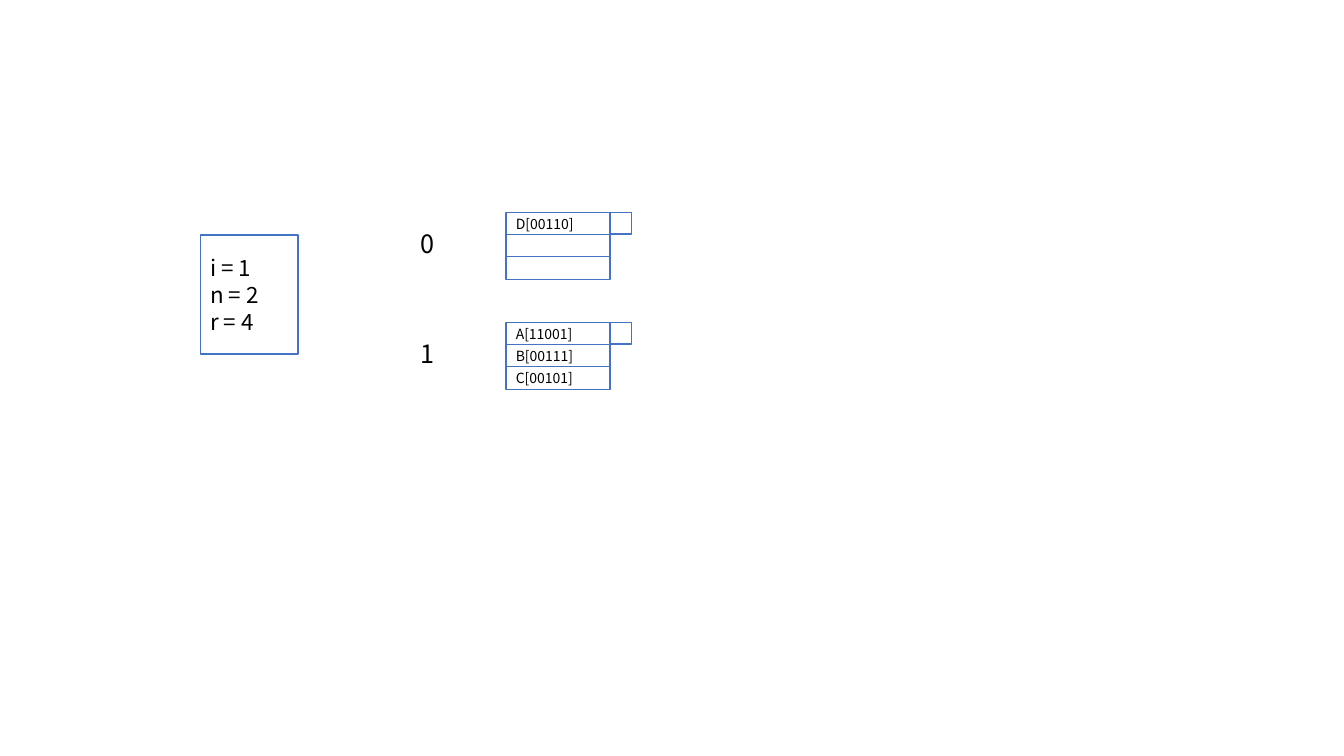
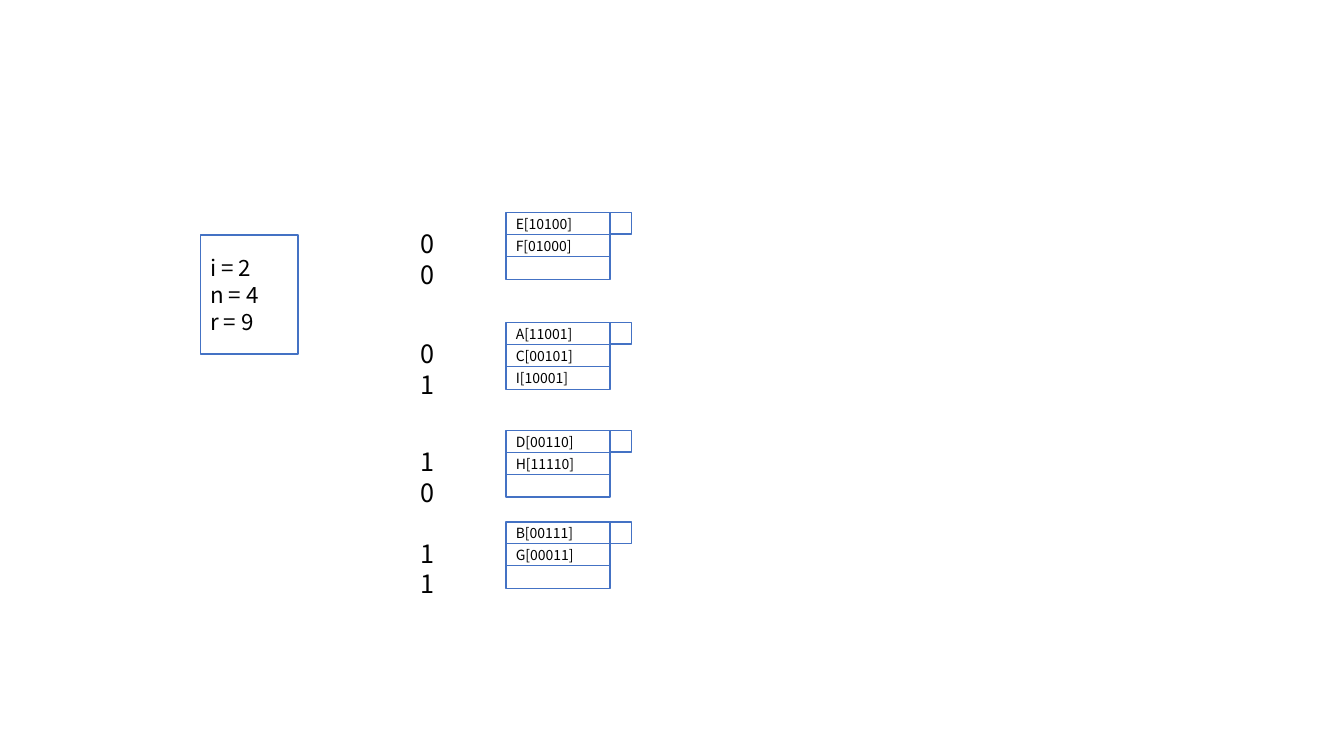
"""Build two slides that show a linear hash table before and after it grows."""
from pptx import Presentation
from pptx.dml.color import RGBColor
from pptx.enum import shapes, text
from pptx.util import Cm, Pt

STATES = [
    {
        "counters": ["i = 1", "n = 2", "r = 4"],
        "buckets": [
            ("0", ["D[00110]", "", ""]),
            ("1", ["A[11001]", "B[00111]", "C[00101]"]),
        ],
    },
    {
        "counters": ["i = 2", "n = 4", "r = 9"],
        "buckets": [
            ("00", ["E[10100]", "F[01000]", ""]),
            ("01", ["A[11001]", "C[00101]", "I[10001]"]),
            ("10", ["D[00110]", "H[11110]", ""]),
            ("11", ["B[00111]", "G[00011]", ""]),
        ],
    },
]

BLACK = RGBColor(0x00, 0x00, 0x00)
WHITE = RGBColor(0xFF, 0xFF, 0xFF)
BLUE = RGBColor(0x44, 0x72, 0xC4)
BOX_FONT = "Noto Sans CJK TC"
KEY_FONT = "Noto Sans CJK SC"
LINE_HEIGHT = 1.2

COUNTER_BOX = (5.05, 5.92, 2.46, 3)
BUCKET_TOPS = [5.36, 8.13, 10.85, 13.15]
BUCKET_LEFT = 12.75
ROW_WIDTH, ROW_HEIGHT, ROW_PITCH = 2.62, 0.58, 0.55
POINTER_SIZE = 0.54
KEY_LEFT, KEY_DROP, KEY_WIDTH, KEY_HEIGHT = 10.36, 0.28, 0.92, 1.02


def write(shape, lines, size, font_name):
    frame = shape.text_frame
    frame.word_wrap = True
    frame.text = "\n".join(lines)
    for paragraph in frame.paragraphs:
        paragraph.alignment = text.PP_ALIGN.LEFT
        paragraph.line_spacing = Pt(size * LINE_HEIGHT)
        for run in paragraph.runs:
            run.font.size = Pt(size)
            run.font.name = font_name
            run.font.color.rgb = BLACK


def add_box(slide, left, top, width, height, lines=(), size=10):
    box = slide.shapes.add_shape(
        shapes.MSO_SHAPE.RECTANGLE, Cm(left), Cm(top), Cm(width), Cm(height))
    box.shadow.inherit = False
    box.fill.solid()
    box.fill.fore_color.rgb = WHITE
    box.line.color.rgb = BLUE
    box.line.width = Pt(1)
    frame = box.text_frame
    frame.margin_top = frame.margin_bottom = 0
    frame.vertical_anchor = text.MSO_ANCHOR.MIDDLE
    if any(lines):
        write(box, lines, size, BOX_FONT)


def add_bucket(slide, top, key, records):
    for index, record in enumerate(records):
        add_box(slide, BUCKET_LEFT, top + index * ROW_PITCH,
                ROW_WIDTH, ROW_HEIGHT, [record])
    add_box(slide, BUCKET_LEFT + ROW_WIDTH, top, POINTER_SIZE, POINTER_SIZE)
    label = slide.shapes.add_textbox(
        Cm(KEY_LEFT), Cm(top + KEY_DROP), Cm(KEY_WIDTH), Cm(KEY_HEIGHT))
    write(label, [key], 18, KEY_FONT)


def main():
    presentation = Presentation()
    presentation.slide_width = Cm(33.87)
    presentation.slide_height = Cm(19.05)
    for state in STATES:
        slide = presentation.slides.add_slide(presentation.slide_layouts[6])
        add_box(slide, *COUNTER_BOX, state["counters"], 16)
        for top, (key, records) in zip(BUCKET_TOPS, state["buckets"]):
            add_bucket(slide, top, key, records)
    presentation.save("out.pptx")


if __name__ == "__main__":
    main()
